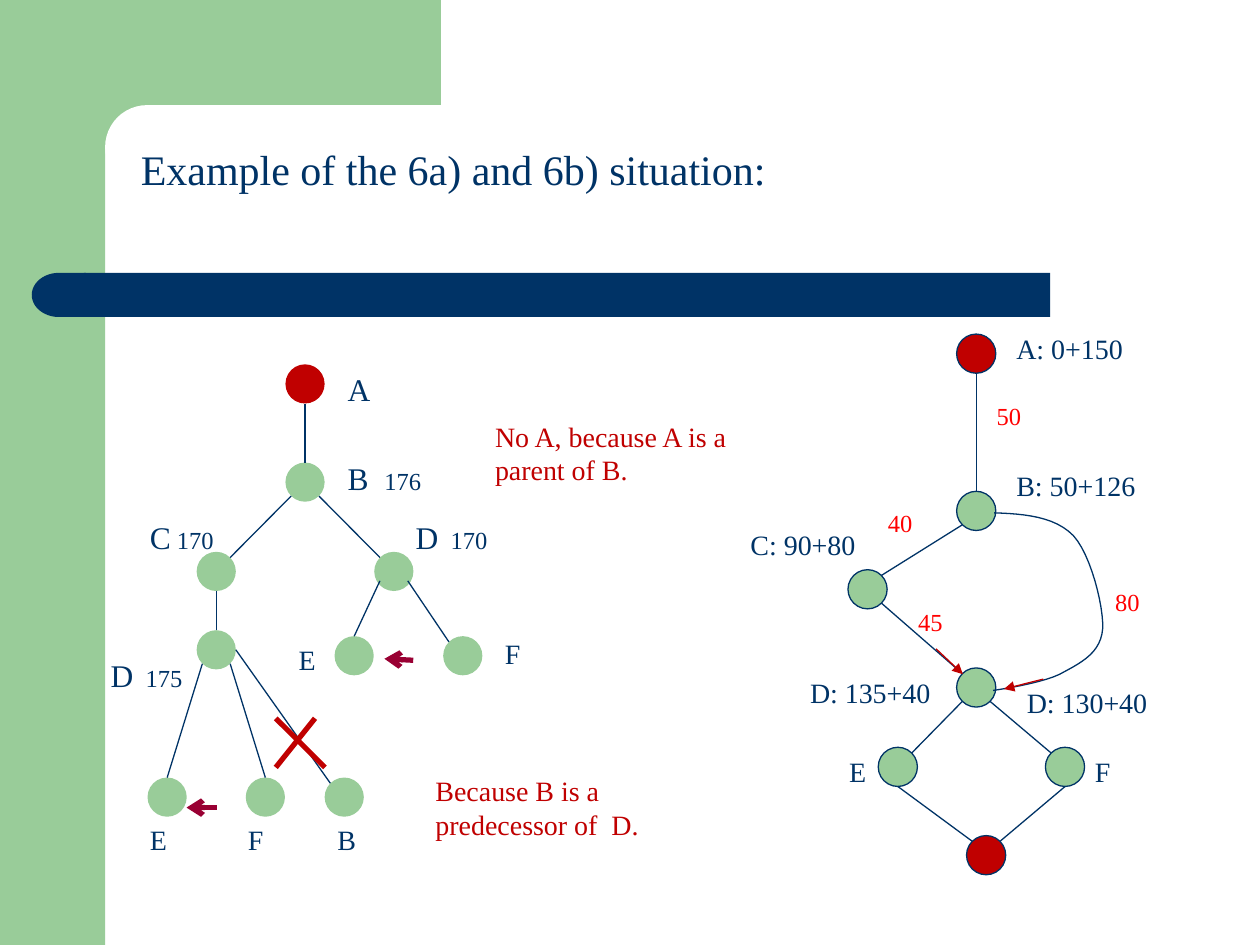
from lxml import etree
from pptx import Presentation
from pptx.dml.color import RGBColor
from pptx.enum.shapes import MSO_CONNECTOR, MSO_SHAPE
from pptx.enum.text import MSO_AUTO_SIZE
from pptx.oxml.ns import qn
from pptx.util import Cm, Pt

OVAL = MSO_SHAPE.OVAL
RECTANGLE = MSO_SHAPE.RECTANGLE
ROUNDED = MSO_SHAPE.ROUNDED_RECTANGLE
DELAY = MSO_SHAPE.FLOWCHART_DELAY
STRAIGHT = MSO_CONNECTOR.STRAIGHT
FIT_SHAPE = MSO_AUTO_SIZE.SHAPE_TO_FIT_TEXT

GREEN = RGBColor(0x99, 0xCC, 0x99)
NAVY = RGBColor(0x00, 0x33, 0x66)
CRIMSON = RGBColor(0xC0, 0x00, 0x00)
RED = RGBColor(0xFF, 0x00, 0x00)
PLUM = RGBColor(0x99, 0x00, 0x33)
WHITE = RGBColor(0xFF, 0xFF, 0xFF)

RADIUS = 0.395
N, S, E = (0, -1), (0, 1), (1, 0)
NW, NE, SW, SE = (-0.71, -0.71), (0.71, -0.71), (-0.71, 0.71), (0.71, 0.71)
LOW_W, LOW_E = (-0.71, 0.48), (0.71, 0.48)


def apply(target, values):
    for name, value in values.items():
        setattr(target, name, value)


def bezier(start, first, second, end, steps=12):
    for step in range(1, steps + 1):
        t = step / steps
        weights = ((1 - t) ** 3, 3 * t * (1 - t) ** 2, 3 * t * t * (1 - t), t ** 3)
        yield tuple(
            sum(w * point[axis] for w, point in zip(weights, (start, first, second, end)))
            for axis in (0, 1)
        )


class Board:
    font = "Times New Roman"
    thin = 0.75

    def __init__(self, slide):
        self.shapes = slide.shapes

    def block(self, kind, at, fill, line=None, **values):
        shape = self.shapes.add_shape(kind, *map(Cm, at))
        shape.shadow.inherit = False
        shape.fill.solid()
        shape.fill.fore_color.rgb = fill
        if line is None:
            shape.line.fill.background()
        else:
            shape.line.color.rgb = line
            shape.line.width = Pt(self.thin)
        apply(shape, values)
        return shape

    def node(self, centre, fill, line):
        x, y = centre
        self.block(OVAL, (x - RADIUS, y - RADIUS, 2 * RADIUS, 2 * RADIUS), fill, line)

    def line(self, start, end, color=NAVY, width=thin, head=None):
        connector = self.shapes.add_connector(STRAIGHT, *map(Cm, start + end))
        connector.line.color.rgb = color
        connector.line.width = Pt(width)
        properties = connector._element.spPr
        if head:
            etree.SubElement(properties.find(qn("a:ln")), qn("a:tailEnd"), type=head)
        etree.SubElement(properties, qn("a:effectLst"))

    def tree(self, nodes, edges, red, outline=None):
        for name, centre in nodes.items():
            self.node(centre, CRIMSON if name in red else GREEN, outline)
        for source, leave, target, arrive in edges:
            ends = [
                tuple(c + RADIUS * d for c, d in zip(nodes[name], side))
                for name, side in ((source, leave), (target, arrive))
            ]
            self.line(*ends)

    def curve(self, points):
        vertices = []
        for i in range(0, len(points) - 1, 3):
            vertices += [(Cm(x), Cm(y)) for x, y in bezier(*points[i:i + 4])]
        builder = self.shapes.build_freeform(Cm(points[0][0]), Cm(points[0][1]))
        builder.add_line_segments(vertices, close=False)
        path = builder.convert_to_shape()
        path.shadow.inherit = False
        path.fill.background()
        path.line.color.rgb = NAVY
        path.line.width = Pt(self.thin)

    def text(self, at, *spans, color=NAVY):
        box = self.shapes.add_textbox(*map(Cm, at))
        apply(box.text_frame, {"word_wrap": True, "auto_size": FIT_SHAPE})
        para = box.text_frame.paragraphs[0]
        for words, size in spans:
            span = para.add_run()
            span.text = words
            apply(span.font, {"name": self.font, "size": Pt(size)})
            span.font.color.rgb = color


def draw_background(board):
    board.block(RECTANGLE, (0, 0, 2.12, 19.05), GREEN)
    board.block(RECTANGLE, (1.9, 0, 6.99, 2.96), GREEN)
    board.block(ROUNDED, (2.12, 2.12, 14.18, 1.69), WHITE).adjustments[0] = 0.5
    board.block(ROUNDED, (1.69, 5.5, 19.48, 0.89), NAVY).adjustments[0] = 0
    board.block(DELAY, (0.64, 5.5, 1.09, 0.89), NAVY, rotation=180)
    board.text((2.59, 2.77, 20.45, 1.27), ("Example of the 6a) and 6b) situation:", 24))


def draw_graph(board):
    nodes = {
        "A": (19.68, 7.13), "B": (19.68, 10.3), "C": (17.49, 11.88),
        "D": (19.68, 13.86), "E": (18.1, 15.46), "F": (21.47, 15.46),
        "goal": (19.88, 17.24),
    }
    edges = [
        ("A", S, "B", N), ("B", SW, "C", NE), ("C", SE, "D", NW), ("D", SE, "F", NW),
        ("D", SW, "E", NE), ("E", S, "goal", NW), ("F", S, "goal", NE),
    ]
    board.tree(nodes, edges, ("A", "goal"), NAVY)
    board.curve([
        (20.04, 10.34), (20.65, 10.36), (21.26, 10.41), (21.64, 10.8),
        (21.99, 11.18), (22.25, 12.22), (22.23, 12.67),
        (22.2, 13.13), (21.84, 13.34), (21.46, 13.54),
        (21.11, 13.77), (20.02, 13.92), (20.02, 13.92),
    ])
    board.line((21.03, 13.69), (20.24, 13.89), CRIMSON, head="triangle")
    board.line((18.87, 13.08), (19.41, 13.59), CRIMSON, head="triangle")
    for words, left, top in (
        ("A: 0+150", 20.24, 6.55), ("B: 50+126", 20.24, 9.32), ("C: 90+80", 14.88, 10.52),
        ("D: 130+40", 20.45, 13.69), ("D: 135+40", 16.08, 13.49),
    ):
        board.text((left, top, 2.97, 0.94), (words, 16))
    for words, left, top in (
        ("50", 19.84, 7.95), ("40", 17.65, 10.11), ("80", 22.23, 11.71), ("45", 18.26, 12.12),
    ):
        board.text((left, top, 1.19, 0.86), (words, 14), color=RED)


def draw_search_tree(board):
    nodes = {
        "A": (6.15, 7.74), "B": (6.15, 9.72), "C": (4.36, 11.52), "D": (7.94, 11.52),
        "E": (7.14, 13.22), "F": (9.33, 13.22), "C-D": (4.36, 13.1),
        "C-E": (3.37, 16.07), "C-F": (5.35, 16.07), "C-B": (6.94, 16.07),
    }
    edges = [
        ("A", S, "B", N), ("B", SW, "C", NE), ("B", SE, "D", NW), ("C", S, "C-D", N),
        ("D", LOW_W, "E", N), ("D", LOW_E, "F", NW), ("C-D", E, "C-B", NW),
        ("C-D", SW, "C-E", N), ("C-D", SE, "C-F", N),
    ]
    board.tree(nodes, edges, ("A",))
    board.text((6.76, 7.34, 0.99, 1.02), ("A", 18))
    for name, cost, left, top, width in (
        ("B  ", "176", 6.76, 9.12, 2.59), ("C", " 170", 2.77, 10.31, 1.98),
        ("D", "  170", 8.13, 10.31, 1.98), ("D", "  175", 1.98, 13.11, 1.98),
    ):
        board.text((left, top, width, 1.02), (name, 18), (cost, 14))
    board.line((6.35, 14.48), (5.56, 15.47), CRIMSON, 3)
    board.line((6.55, 15.47), (5.56, 14.48), CRIMSON, 3)
    board.line((8.33, 13.31), (7.75, 13.28), PLUM, 3, "arrow")
    board.line((4.37, 16.28), (3.76, 16.28), PLUM, 3, "arrow")


def draw_leaf_names(board):
    for name, left, top in (
        ("E", 16.87, 15.09), ("F", 21.82, 15.09), ("E", 5.77, 12.83), ("F", 9.93, 12.7),
        ("E", 2.77, 16.46), ("F", 4.75, 16.46), ("B", 6.55, 16.46),
    ):
        board.text((left, top, 1.19, 0.94), (name, 16))


def draw_remarks(board):
    for words, left, top in (
        ("Because B is a predecessor of  D.", 8.53, 15.47),
        ("No A, because A is a parent of B.", 9.73, 8.33),
    ):
        board.text((left, top, 5.36, 1.63), (words, 16), color=CRIMSON)


def main():
    deck = Presentation()
    apply(deck, {"slide_width": Cm(25.4), "slide_height": Cm(19.05)})
    board = Board(deck.slides.add_slide(deck.slide_layouts[6]))
    for draw in (draw_background, draw_graph, draw_search_tree, draw_leaf_names, draw_remarks):
        draw(board)
    deck.save("out.pptx")


if __name__ == "__main__":
    main()
